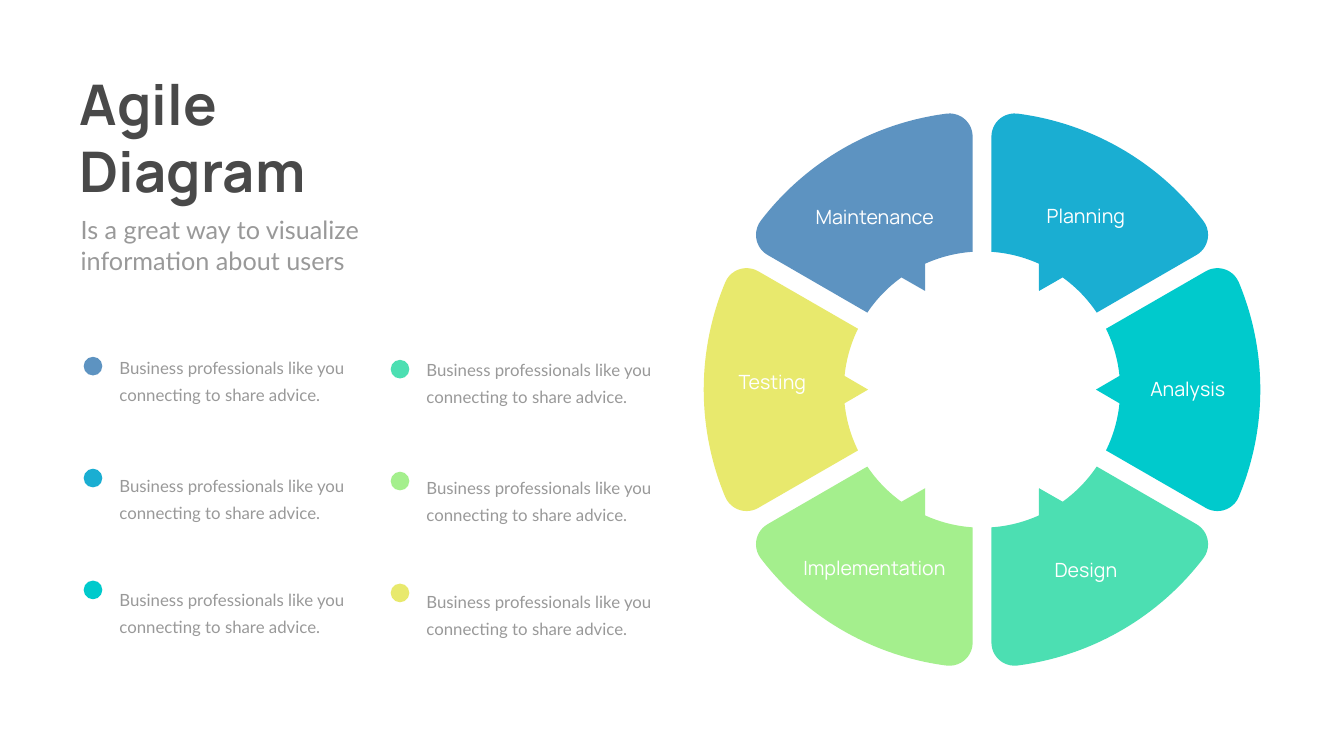
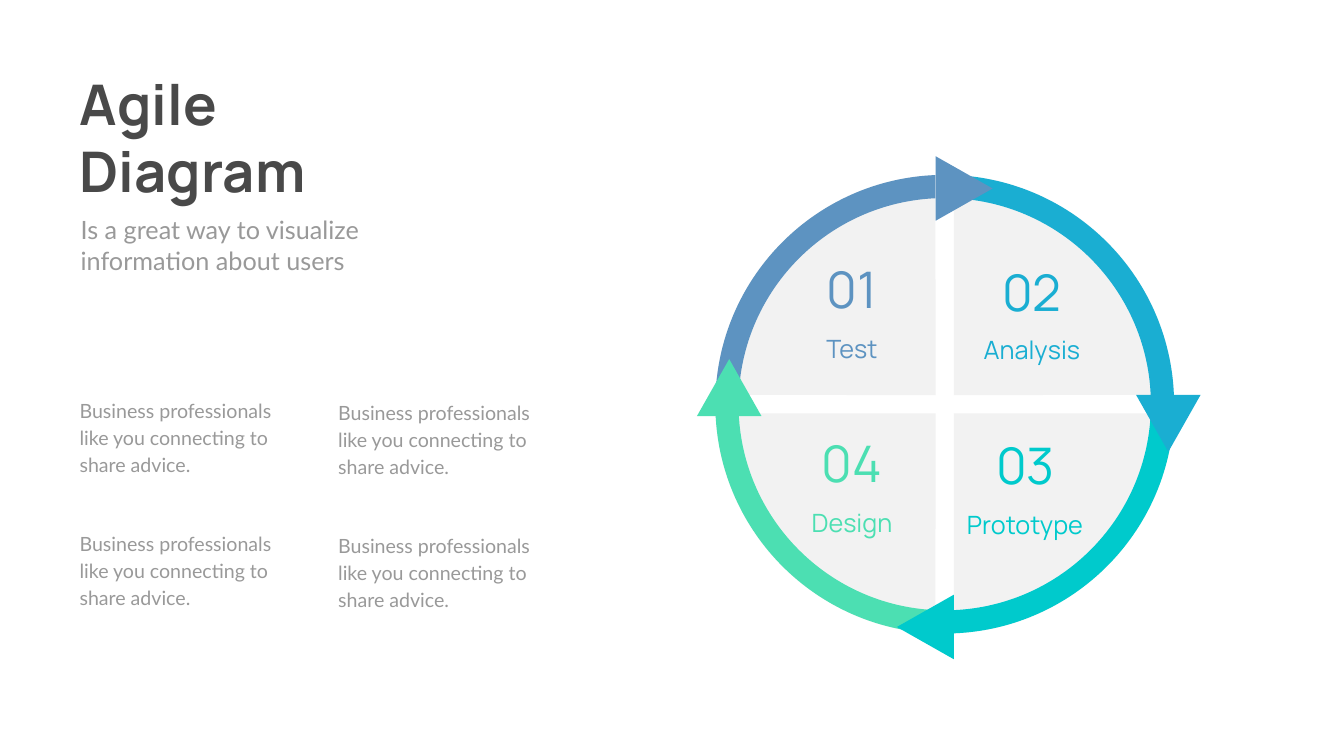
"""Build two agile diagram slides: a six-part wheel and a four-step cycle."""
from math import cos, dist, radians, sin, tan

from lxml.etree import SubElement
from pptx import Presentation
from pptx.dml.color import RGBColor
from pptx.enum.shapes import MSO_SHAPE
from pptx.enum.text import MSO_ANCHOR, MSO_AUTO_SIZE, PP_ALIGN
from pptx.oxml.ns import qn
from pptx.util import Inches, Pt

BLUE, SKY, TEAL, MINT, LIME, YELLOW = "5D93C1", "1AAED2", "00CACC", "4CDFB2", "A4EF8D", "E8E96D"
DARK, GREY, PALE, WHITE = "494949", "999999", "F2F2F2", "FFFFFF"
ADVICE = "Business professionals like you connecting to share advice."
TITLE = {"name": "Manrope", "size": Pt(80), "bold": True}
SUBTITLE = {"name": "Lato", "size": Pt(36)}
NOTE = {"name": "Lato", "size": Pt(24)}
LARGE_NOTE = {"name": "Lato", "size": Pt(28)}
LABEL = {"name": "Manrope", "size": Pt(28)}
STEP = {"name": "Manrope", "size": Pt(36)}
NUMBER = {"name": "Manrope", "size": Pt(72)}


def write(sp, at, text, fmt, color, align=PP_ALIGN.LEFT, spacing=1.0):
    """Place a text shape and fill it with one formatted paragraph."""
    sp.left, sp.top, sp.width, sp.height = (Inches(v) for v in at)
    tf = sp.text_frame
    tf.word_wrap = True
    tf.auto_size = MSO_AUTO_SIZE.SHAPE_TO_FIT_TEXT
    tf.vertical_anchor = MSO_ANCHOR.TOP
    p = tf.paragraphs[0]
    p.alignment, p.line_spacing, p.space_before = align, spacing, Pt(0)
    r = p.add_run()
    r.text = text
    for key, value in fmt.items():
        setattr(r.font, key, value)
    r.font.color.rgb = RGBColor.from_string(color)


def outline(s, arcs, cx, cy, turn):
    """Draw a closed shape from (x, y, radius, start, end) arcs turned about a centre."""
    c, d = cos(radians(turn)), sin(radians(turn))
    points, handles = [], []
    for x, y, radius, start, end in arcs:
        x, y = cx + x * c - y * d, cy + x * d + y * c
        a, b = radians(start + turn), radians(end + turn)
        k = radius * 4 / 3 * tan((b - a) / 4)
        first = (x + radius * cos(a), y + radius * sin(a))
        last = (x + radius * cos(b), y + radius * sin(b))
        if not points or dist(points[-1], first) > 0.02:
            points.append(first)
            handles.append(())
        if radius:
            points.append(last)
            handles.append(((first[0] - k * sin(a), first[1] + k * cos(a)),
                            (last[0] + k * sin(b), last[1] - k * cos(b))))
    vertices = [(Inches(x), Inches(y)) for x, y in points]
    fb = s.shapes.build_freeform(*vertices[0], scale=1.0)
    fb.add_line_segments(vertices[1:], close=True)
    sp = fb.convert_to_shape()
    for line, pair in zip(list(sp._element.iter(qn("a:lnTo"))), handles[1:]):
        if pair:
            curve = line.getparent().makeelement(qn("a:cubicBezTo"))
            for x, y in pair:
                SubElement(curve, qn("a:pt"), x=str(Inches(x) - sp.left), y=str(Inches(y) - sp.top))
            curve.append(line[0])
            line.getparent().replace(line, curve)
    return sp


prs = Presentation()
prs.slide_width, prs.slide_height = Inches(26.66), Inches(15)
slides = []
for width in (7.24, 6.42):
    s = prs.slides.add_slide(prs.slide_layouts[0])
    write(s.shapes.title, (1.48, 1.32, 6.68, 2.79), "Agile Diagram", TITLE, DARK)
    write(s.placeholders[1], (1.5, 4.21, width, 1.31),
          "Is a great way to visualize information about users", SUBTITLE, GREY)
    slides.append(s)
wheel, cycle = slides
filled = []

corner = [(4.67, -1.95, 0.46, a, b) for a, b in ((-120, -90), (-90, -60), (-60, -22.7))]
half = [(2.26, 0, 0, 0, 0), (0, 0, 2.74, -5.7, -26.13), *corner, (0, 0, 5.52, -22.7, 0)]
petal = half + [(x, -y, radius, -end, -start) for x, y, radius, start, end in half[:0:-1]]
phases = [
    ("Maintenance", BLUE, 15.53, 4.02, 3.64),
    ("Planning", SKY, 20.23, 3.99, 2.62),
    ("Analysis", TEAL, 22.25, 7.43, 2.62),
    ("Design", MINT, 20.23, 11.02, 2.62),
    ("Implementation", LIME, 15.28, 10.98, 4.13),
    ("Testing", YELLOW, 14.01, 7.29, 2.62),
]
for i, (name, color, x, y, width) in enumerate(phases):
    filled.append((outline(wheel, petal, 19.48, 7.73, 240 + 60 * i), color))
    write(wheel.shapes.add_textbox(0, 0, 0, 0), (x, y, width, 0.57), name, LABEL, WHITE,
          PP_ALIGN.CENTER)
    col, row = divmod(i, 3)
    write(wheel.shapes.add_textbox(0, 0, 0, 0),
          (2.27 + 6.09 * col, (6.91, 9.25, 11.51)[row] + 0.05 * col, 4.74, 1.13),
          ADVICE, NOTE, GREY, spacing=Pt(38.6))
    dot = wheel.shapes.add_shape(MSO_SHAPE.OVAL, Inches(1.66 + 6.09 * col),
                                 Inches(7.08 + 2.22 * row + 0.06 * col), Inches(0.37), Inches(0.37))
    filled.append((dot, color))

for col in range(2):
    for row in range(2):
        write(cycle.shapes.add_textbox(0, 0, 0, 0),
              (1.48 + 5.13 * col, 7.8 + 2.64 * row + 0.03 * col, 4.13, 1.69),
              ADVICE, LARGE_NOTE, GREY, spacing=Pt(38.6))

sector = [(0.18, 0.18, 0, 0, 0), (0, 0, 4.55, 2.33, 87.67)]
band = [(0, 0, 4.09, 87.4, 2.6), (0, 0, 4.55, 2.33, 87.67)]
steps = [
    ("Test", BLUE, (15.49, 6.56, 2.82, 0.71), (15.49, 5.08), (18.56, 3.1)),
    ("Analysis", SKY, (19.24, 6.58, 2.46, 0.71), (19.06, 5.13), (22.61, 7.76)),
    ("Prototype", TEAL, (18.92, 10.05, 2.82, 0.71), (18.93, 8.57), (17.79, 11.8)),
    ("Design", MINT, (15.49, 10.01, 2.82, 0.71), (15.49, 8.53), (13.9, 7.05)),
]
for i, (name, color, *_) in enumerate(steps):
    for arcs, tone in ((sector, PALE), (band, color)):
        filled.append((outline(cycle, arcs, 18.74, 8.02, 180 + 90 * i), tone))
for i, (name, color, label_at, number_at, arrow_at) in enumerate(steps):
    x, y = arrow_at
    arrow = cycle.shapes.add_shape(MSO_SHAPE.RIGHT_ARROW, Inches(x), Inches(y),
                                   Inches(1.13), Inches(1.28))
    arrow.adjustments[1] = 2.02
    arrow.rotation = 90 * i
    filled.append((arrow, color))
    write(cycle.shapes.add_textbox(0, 0, 0, 0), label_at, name, STEP, color, PP_ALIGN.CENTER)
    write(cycle.shapes.add_textbox(0, 0, 0, 0), (*number_at, 2.82, 1.31), f"{i + 1:02}",
          NUMBER, color, PP_ALIGN.CENTER)

for sp, color in filled:
    sp.fill.solid()
    sp.fill.fore_color.rgb = RGBColor.from_string(color)
    sp.line.fill.background()
    sp.shadow.inherit = False

prs.save("out.pptx")
